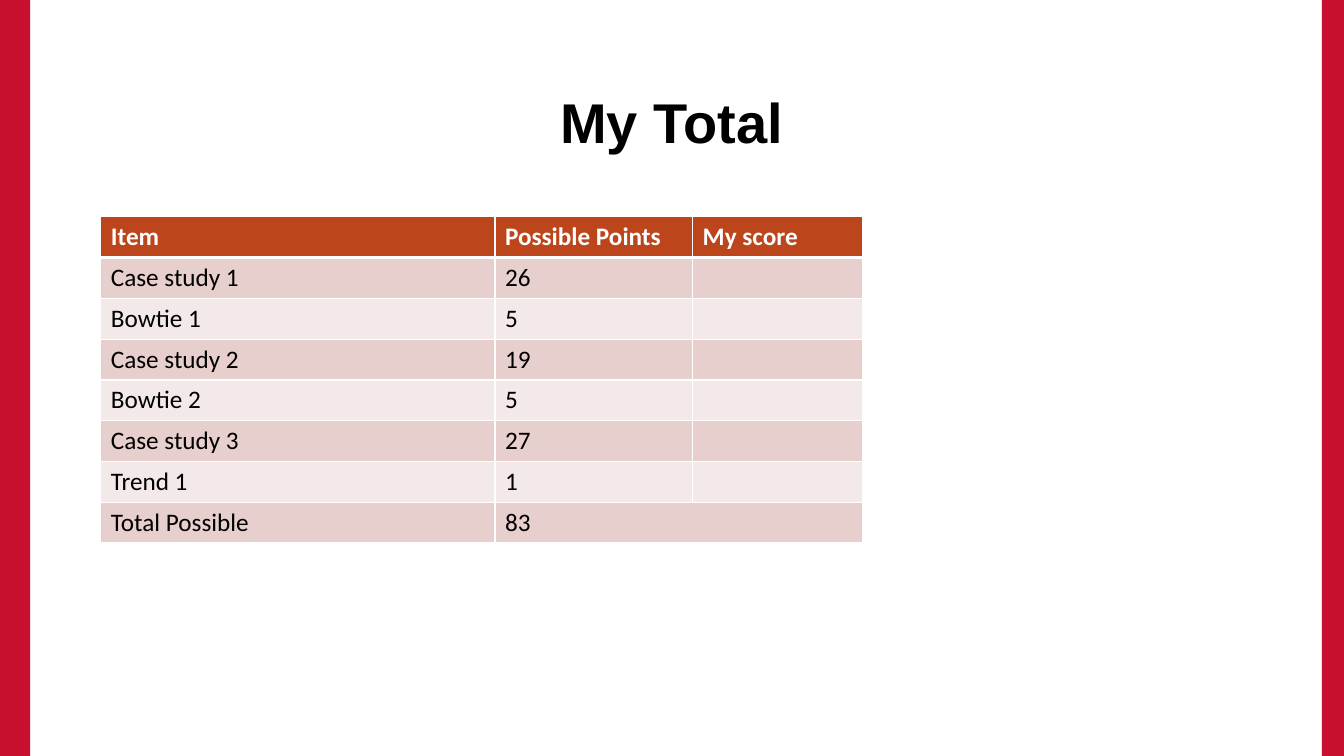
import pptx
import pptx.dml.color
import pptx.enum.shapes
import pptx.enum.text
import pptx.oxml
import pptx.oxml.ns
import pptx.util
from pptx.util import Inches

# Content
TITLE = "My Total"
HEADER = ("Item", "Possible Points", "My score")
SCORES = [
    ("Case study 1", 26),
    ("Bowtie 1", 5),
    ("Case study 2", 19),
    ("Bowtie 2", 5),
    ("Case study 3", 27),
    ("Trend 1", 1),
]
TOTAL = ("Total Possible", sum(points for _, points in SCORES))

# Theme and layout, lengths in inches
THEME = {
    "bar": "C8102E", "header": "BC451B", "bands": ("E7CFCD", "F3E9E8"),
    "light": "FFFFFF", "dark": "000000",
    "title_font": "Arial", "title_size": 40,
    "table_font": "Calibri", "table_size": 18,
    "rule": 1, "header_rule": 3,
}
SLIDE_W, SLIDE_H = 13.33, 7.5
LEFT_BAR, RIGHT_BAR = 0.3, 0.22
TITLE_BOX = (1, 0.67, 11.32, 1.06)
TABLE_LEFT, TABLE_TOP, TABLE_H = 1, 2.15, 3.24
COLUMNS = (3.91, 1.96, 1.69)


def rgb(value):
    return pptx.dml.color.RGBColor.from_string(value)


def write(tf, text, color, **formats):
    r = tf.paragraphs[0].add_run()
    r.text = text
    for name, value in formats.items():
        setattr(r.font, name, value)
    r.font.color.rgb = rgb(color)


def add_bar(s, left, width):
    sp = s.shapes.add_shape(
        pptx.enum.shapes.MSO_SHAPE.RECTANGLE,
        Inches(left), 0, Inches(width), Inches(SLIDE_H))
    sp.shadow.inherit = False
    sp.fill.solid()
    sp.fill.fore_color.rgb = rgb(THEME["bar"])
    sp.line.fill.background()


def add_borders(cell, **widths):
    for side, width in widths.items():
        line = pptx.oxml.parse_xml(
            f'<a:{side} {pptx.oxml.ns.nsdecls("a")} w="{pptx.util.Pt(width)}">'
            f'<a:solidFill><a:srgbClr val="{THEME["light"]}"/></a:solidFill>'
            f'</a:{side}>')
        cell._tc.get_or_add_tcPr().append(line)


def add_score_table(s):
    rows = [HEADER, *SCORES, TOTAL]
    table = s.shapes.add_table(
        len(rows), len(COLUMNS), Inches(TABLE_LEFT), Inches(TABLE_TOP),
        Inches(sum(COLUMNS)), Inches(TABLE_H)).table
    for column, width in zip(table.columns, COLUMNS):
        column.width = Inches(width)

    rule, header_rule = THEME["rule"], THEME["header_rule"]
    for i in range(len(rows)):
        is_header = i == 0
        fill = THEME["header"] if is_header else THEME["bands"][(i - 1) % 2]
        for j in range(len(COLUMNS)):
            cell = table.cell(i, j)
            add_borders(cell, lnL=rule, lnR=rule,
                        lnT=header_rule if i == 1 else rule,
                        lnB=header_rule if is_header else rule)
            cell.fill.solid()
            cell.fill.fore_color.rgb = rgb(fill)
            if j < len(rows[i]):
                write(cell.text_frame, str(rows[i][j]),
                      THEME["light" if is_header else "dark"],
                      name=THEME["table_font"], bold=is_header,
                      size=pptx.util.Pt(THEME["table_size"]))

    # The total spans the points and score columns
    last = len(rows) - 1
    table.cell(last, 1).merge(table.cell(last, 2))


def main():
    prs = pptx.Presentation()
    prs.slide_width, prs.slide_height = Inches(SLIDE_W), Inches(SLIDE_H)
    s = prs.slides.add_slide(prs.slide_layouts[6])

    # Side bars
    add_bar(s, 0, LEFT_BAR)
    add_bar(s, SLIDE_W - RIGHT_BAR, RIGHT_BAR)

    # Title
    tf = s.shapes.add_textbox(*map(Inches, TITLE_BOX)).text_frame
    tf.word_wrap = True
    tf.vertical_anchor = pptx.enum.text.MSO_ANCHOR.MIDDLE
    tf.paragraphs[0].alignment = pptx.enum.text.PP_ALIGN.CENTER
    write(tf, TITLE, THEME["dark"], name=THEME["title_font"], bold=True,
          size=pptx.util.Pt(THEME["title_size"]))

    # Scores
    add_score_table(s)
    prs.save("out.pptx")


if __name__ == "__main__":
    main()
